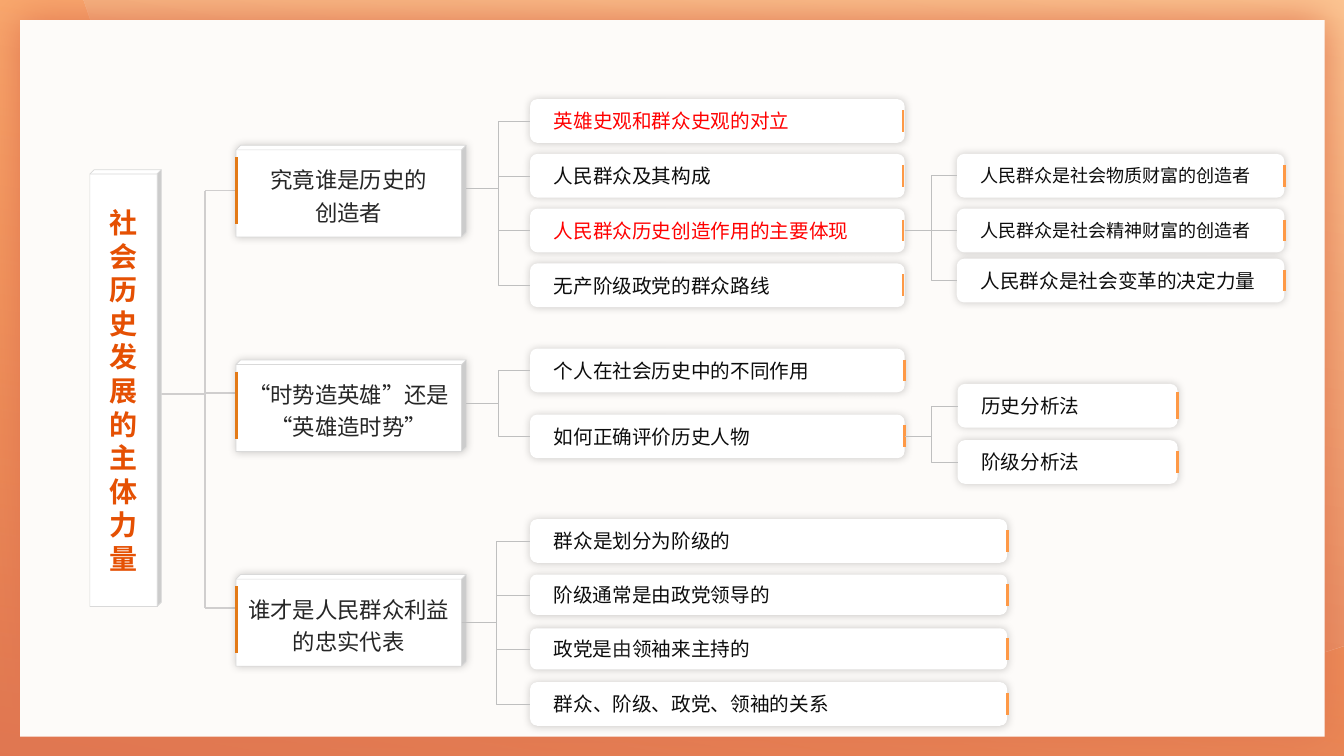
import dataclasses
import typing

import lxml.etree
import pptx
import pptx.dml.color
import pptx.enum.shapes
import pptx.enum.text
import pptx.oxml.ns
import pptx.util

SHAPE = pptx.enum.shapes.MSO_SHAPE
CONNECTOR = pptx.enum.shapes.MSO_CONNECTOR
ALIGN = pptx.enum.text.PP_ALIGN
ANCHOR = pptx.enum.text.MSO_ANCHOR
qn = pptx.oxml.ns.qn
COLUMNS, ROWS = 160, 90


@dataclasses.dataclass(frozen=True)
class Theme:
    font: str = "Noto Sans CJK SC"
    frame: str = "E17751"
    glow: str = "FD7201"
    sheen: str = "FDD5A6"
    panel: str = "FDFBF9"
    white: str = "FFFFFF"
    black: str = "000000"
    edge: str = "D9D9D9"
    spine: str = "D0CECE"
    branch: str = "BFBFBF"
    card_tick: str = "FE9946"
    topic_tick: str = "E37A17"
    ink: str = "0D0D0D"
    topic_ink: str = "262626"
    key: str = "FF0000"
    root_ink: str = "E55003"
    small: float = 12.9
    body: float = 14
    topic: float = 16
    root: float = 20


T = Theme()


class Run(typing.NamedTuple):
    text: str
    color: str = T.ink


@dataclasses.dataclass(frozen=True)
class Card:
    row: float
    runs: tuple[Run, ...]
    height: float = 5.2
    size: float = T.body
    tick: float = 2.6


@dataclasses.dataclass(frozen=True)
class Stack:
    col: float
    width: float
    cards: tuple[Card, ...]
    tick_inset: float = 0


@dataclasses.dataclass(frozen=True)
class Topic:
    lines: tuple[str, ...]
    stub_row: float
    branch_start: tuple[float, float]
    stack: Stack


PITCH = 6.52
TOP_ROWS = [11.8 + PITCH * i for i in range(4)]
TOPIC_COL, TOPIC_ROW, TOPIC_PITCH = 28.1, 17.3, 25.55
TOPIC_WIDTH, TOPIC_HEIGHT = 27.4, 10.9
SPINE_COL, ROOT_EDGE, ROOT_LINK_ROW = 24.4, 19.2, 46.9

TOPICS = (
    Topic(("究竟谁是历史的", "创造者"), 22.7, (55.5, 22.4), Stack(63.1, 44.6, (
        Card(TOP_ROWS[0], (Run("英雄史观和群众史观的对立", T.key),)),
        Card(TOP_ROWS[1], (Run("人民群众及其构成"),)),
        Card(TOP_ROWS[2], (Run("人民群众历史创造作用的主要体现", T.key),)),
        Card(TOP_ROWS[3], (Run("无产阶级政党的群众路线"),)),
    ), 0.2)),
    Topic(("“时势造英雄”还是 “英雄造时势”",), 46.8, (55.5, 48), Stack(63.1, 44.6, (
        Card(41.5, (Run("个人在社会历史中的不同作用"),)),
        Card(49.35, (Run("如何正确评价历史人物"),)),
    ))),
    Topic(("谁才是人民群众利益的忠实代表",), 72.4, (55, 74.1), Stack(63.1, 56.8, (
        Card(61.8, (Run("群众是划分为阶级的"),)),
        Card(68.4, (Run("阶级通常是由政党领导的"),), 4.8),
        Card(74.8, (Run("政党是"), Run("由", T.topic_ink), Run("领袖来主持的")), 4.9),
        Card(81.2, (Run("群众、阶级、政党、领袖的关系"),)),
    ))),
)
DETAILS = {
    (0, 2): Stack(113.9, 39, (
        Card(TOP_ROWS[1], (Run("人民群众是社会物质财富的创造者"),), size=T.small),
        Card(TOP_ROWS[2], (Run("人民群众是社会精神财富的创造者"),), size=T.small),
        Card(30.8, (Run("人民群众是社会变革的决定力量"),)),
    )),
    (1, 1): Stack(114, 26.2, (
        Card(45.7, (Run("历史分析法"),), tick=3.2),
        Card(52.4, (Run("阶级分析法"),)),
    )),
}

prs = pptx.Presentation()
prs.slide_width, prs.slide_height = pptx.util.Inches(13.33), pptx.util.Inches(7.5)
s = prs.slides.add_slide(prs.slide_layouts[6])


def col(n: float) -> int:
    return round(prs.slide_width * n / COLUMNS)


def row(n: float) -> int:
    return round(prs.slide_height * n / ROWS)


def rgb(value: str) -> pptx.dml.color.RGBColor:
    return pptx.dml.color.RGBColor.from_string(value)


def assign(target, values: dict) -> None:
    for name, value in values.items():
        setattr(target, name, value)


def add_alpha(color_element, percent: int) -> None:
    lxml.etree.SubElement(color_element, qn("a:alpha"), val=str(percent * 1000))


def add_box(kind, x: float, y: float, w: float, h: float, fill: str, edge: str = ""):
    sp = s.shapes.add_shape(kind, col(x), row(y), col(w), row(h))
    sp.shadow.inherit = False
    sp.fill.solid()
    sp.fill.fore_color.rgb = rgb(fill)
    if edge:
        sp.line.color.rgb = rgb(edge)
        sp.line.width = pptx.util.Pt(0.5)
    else:
        sp.line.fill.background()
    return sp


def add_shadow(sp, color: str = T.black, alpha: int = 20, blur: float = 6, angle: int = 315) -> None:
    effects = sp._element.spPr.find(qn("a:effectLst"))
    shadow = lxml.etree.SubElement(effects, qn("a:outerShdw"), blurRad=str(pptx.util.Pt(blur)),
                                   dist="0", dir=str(angle * 60000), algn="ctr", rotWithShape="0")
    add_alpha(lxml.etree.SubElement(shadow, qn("a:srgbClr"), val=color), alpha)


def add_gradient(sp, start: str, end: str) -> None:
    sp.shadow.inherit = False
    sp.line.fill.background()
    sp.fill.gradient()
    sp.fill.gradient_angle = 80
    for stop, color, position in zip(sp.fill.gradient_stops, (start, end), (0, 1)):
        stop.color.rgb = rgb(color)
        stop.position = position
    add_alpha(sp._element.spPr.findall(".//" + qn("a:srgbClr"))[-1], 50)


def write(sp, paragraphs, size: float, bold: bool = False, indent: float = 0, **layout) -> None:
    tf = sp.text_frame
    assign(tf, {"word_wrap": True, "vertical_anchor": ANCHOR.MIDDLE})
    for i, runs in enumerate(paragraphs):
        p = tf.paragraphs[0] if i == 0 else tf.add_paragraph()
        assign(p, layout)
        p._p.get_or_add_pPr().set("marL", str(col(indent)))
        for run in runs:
            r = p.add_run()
            r.text = run.text
            assign(r.font, {"name": T.font, "size": pptx.util.Pt(size), "bold": bold})
            r.font.color.rgb = rgb(run.color)
            rPr = r._r.get_or_add_rPr()
            rPr.set("lang", "zh-CN")
            lxml.etree.SubElement(rPr, qn("a:ea"), typeface=T.font)


def add_line(x1: float, y1: float, x2: float, y2: float, color: str, width: float,
             kind=CONNECTOR.STRAIGHT):
    line = s.shapes.add_connector(kind, col(x1), row(y1), col(x2), row(y2))
    line.line.color.rgb = rgb(color)
    line.line.width = pptx.util.Pt(width)
    lxml.etree.SubElement(line._element.spPr, qn("a:effectLst"))
    return line


def add_stack(stack: Stack) -> list:
    shapes = []
    for card in stack.cards:
        sp = add_box(SHAPE.ROUNDED_RECTANGLE, stack.col, card.row, stack.width, card.height, T.white)
        add_shadow(sp)
        write(sp, [card.runs], card.size, indent=1.4, alignment=ALIGN.LEFT)
        x, middle = stack.col + stack.width - stack.tick_inset, card.row + card.height / 2
        add_line(x, middle - card.tick / 2, x, middle + card.tick / 2, T.card_tick, 2)
        shapes.append(sp)
    return shapes


def add_branches(start: tuple[float, float], stack: Stack, shapes: list, parent=None) -> None:
    for card, sp in zip(stack.cards, shapes):
        line = add_line(*start, stack.col, card.row + card.height / 2, T.branch, 0.25, CONNECTOR.ELBOW)
        if parent is not None:
            line.begin_connect(parent, 3)
        line.end_connect(sp, 1)


def add_backdrop() -> None:
    add_gradient(add_box(SHAPE.RECTANGLE, 0, 0, COLUMNS, ROWS, T.frame), T.frame, T.glow)
    outline = [(160, 0), (160, 76.8), (157.8, 77.5), (140, 81.7), (122.6, 82.8),
               (87, 77), (54, 60.4), (28, 35.4), (11.8, 5.3)]
    builder = s.shapes.build_freeform(col(10), 0)
    builder.add_line_segments([(col(x), row(y)) for x, y in outline])
    add_gradient(builder.convert_to_shape(), T.frame, T.sheen)
    add_shadow(add_box(SHAPE.RECTANGLE, 2.4, 2.4, 155.3, 85.3, T.panel), T.frame, 100, 30, 0)


def add_topic(index: int, topic: Topic) -> None:
    y = TOPIC_ROW + TOPIC_PITCH * index
    add_line(TOPIC_COL, topic.stub_row, SPINE_COL, topic.stub_row, T.spine, 1)
    sp = add_box(SHAPE.CUBE, TOPIC_COL, y, TOPIC_WIDTH, TOPIC_HEIGHT, T.white, T.edge)
    sp.adjustments[0] = 0.05
    add_shadow(sp)
    write(sp, [[Run(text, T.topic_ink)] for text in topic.lines], T.topic,
          alignment=ALIGN.CENTER, line_spacing=1.2)
    add_line(TOPIC_COL + 0.1, y + 1.4, TOPIC_COL + 0.1, y + 9.4, T.topic_tick, 2)
    shapes = add_stack(topic.stack)
    add_branches(topic.branch_start, topic.stack, shapes)
    for (owner, position), detail in DETAILS.items():
        if owner == index:
            card = topic.stack.cards[position]
            start = topic.stack.col + topic.stack.width, card.row + card.height / 2
            add_branches(start, detail, add_stack(detail), shapes[position])


def main() -> None:
    add_backdrop()
    add_line(SPINE_COL, TOPICS[0].stub_row, SPINE_COL, TOPICS[-1].stub_row, T.spine, 1)
    add_line(SPINE_COL, ROOT_LINK_ROW, ROOT_EDGE, ROOT_LINK_ROW, T.spine, 1)
    for index, topic in enumerate(TOPICS):
        add_topic(index, topic)
    root = add_box(SHAPE.CUBE, 10.7, 20.2, 8.5, 52, T.white, T.edge)
    root.adjustments[0] = 0.06
    write(root, [[Run("社会历史发展的主体力量", T.root_ink)]], T.root, True, alignment=ALIGN.CENTER)
    prs.save("out.pptx")


if __name__ == "__main__":
    main()
